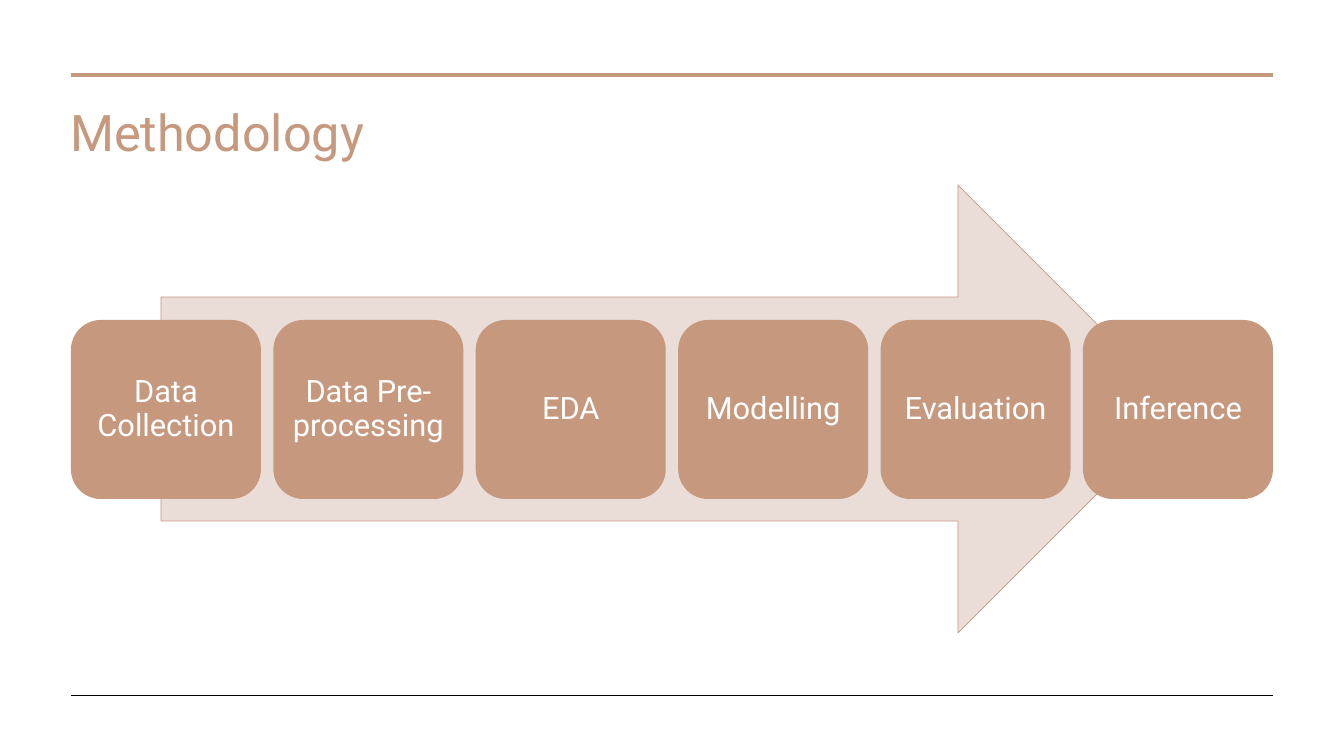
from lxml import etree
from pptx import Presentation
from pptx.dml.color import RGBColor
from pptx.enum.shapes import MSO_CONNECTOR, MSO_SHAPE
from pptx.enum.text import MSO_ANCHOR, MSO_AUTO_SIZE, PP_ALIGN
from pptx.oxml.ns import qn
from pptx.util import Emu, Pt

STRAIGHT = MSO_CONNECTOR.STRAIGHT
ARROW, ROUNDED = MSO_SHAPE.RIGHT_ARROW, MSO_SHAPE.ROUNDED_RECTANGLE
TOP, MIDDLE = MSO_ANCHOR.TOP, MSO_ANCHOR.MIDDLE
LEFT, CENTER = PP_ALIGN.LEFT, PP_ALIGN.CENTER

W, H = 1344, 756
EMU_PER_PX = 12192000 / W
FONT = "Roboto"
TAN, PALE, BLACK, WHITE = "C6987E", "EADDD8", "000000", "FFFFFF"

STEPS = ["Data Collection", "Data Pre-processing", "EDA",
         "Modelling", "Evaluation", "Inference"]
MARGIN_LEFT, MARGIN_RIGHT = 71, 1273
STEP_TOP, STEP_W, STEP_H = 320, 190, 179
STEP_INSET = 9


def px(n):
    return Emu(round(n * EMU_PER_PX))


def rgb(color):
    return RGBColor.from_string(color)


def add_rule(s, y, color, weight):
    """Draw a horizontal line from margin to margin."""
    line = s.shapes.add_connector(
        STRAIGHT, px(MARGIN_LEFT), px(y), px(MARGIN_RIGHT), px(y))
    line.line.color.rgb = rgb(color)
    line.line.width = Pt(weight)
    etree.SubElement(line._element.spPr, qn("a:effectLst"))


def write(tf, text, size, color, align, anchor, spacing):
    tf.word_wrap = True
    tf.auto_size = MSO_AUTO_SIZE.NONE
    tf.vertical_anchor = anchor
    p = tf.paragraphs[0]
    p.alignment = align
    p.line_spacing = spacing
    r = p.add_run()
    r.text = text
    r.font.name = FONT
    r.font.size = Pt(size)
    r.font.color.rgb = rgb(color)


def set_title(s, text):
    sp = s.shapes.title
    sp.left, sp.top, sp.width, sp.height = px(60), px(105), px(1212), px(119)
    write(sp.text_frame, text, 36, TAN, LEFT, TOP, 0.85)


def add_filled(s, kind, x, y, w, h, fill):
    sp = s.shapes.add_shape(kind, px(x), px(y), px(w), px(h))
    sp.shadow.inherit = False
    sp.fill.solid()
    sp.fill.fore_color.rgb = rgb(fill)
    sp.line.fill.background()
    return sp


def add_arrow(s):
    sp = add_filled(s, ARROW, 161, 185, 1021, 448, PALE)
    sp.line.color.rgb = rgb(TAN)
    sp.line.width = Pt(0.5)


def add_step(s, x, text):
    sp = add_filled(s, ROUNDED, x, STEP_TOP, STEP_W, STEP_H, TAN)
    tf = sp.text_frame
    tf.margin_left = tf.margin_right = px(STEP_INSET)
    tf.margin_top = tf.margin_bottom = px(STEP_INSET)
    write(tf, text, 22, WHITE, CENTER, MIDDLE, 0.9)


def main():
    prs = Presentation()
    prs.slide_width, prs.slide_height = px(W), px(H)
    s = prs.slides.add_slide(prs.slide_layouts[5])
    add_rule(s, 75, TAN, 3)
    add_rule(s, 695, BLACK, 0.5)
    set_title(s, "Methodology")
    add_arrow(s)
    pitch = (MARGIN_RIGHT - MARGIN_LEFT - STEP_W) / (len(STEPS) - 1)
    for i, step in enumerate(STEPS):
        add_step(s, MARGIN_LEFT + i * pitch, step)
    prs.save("out.pptx")


if __name__ == "__main__":
    main()
